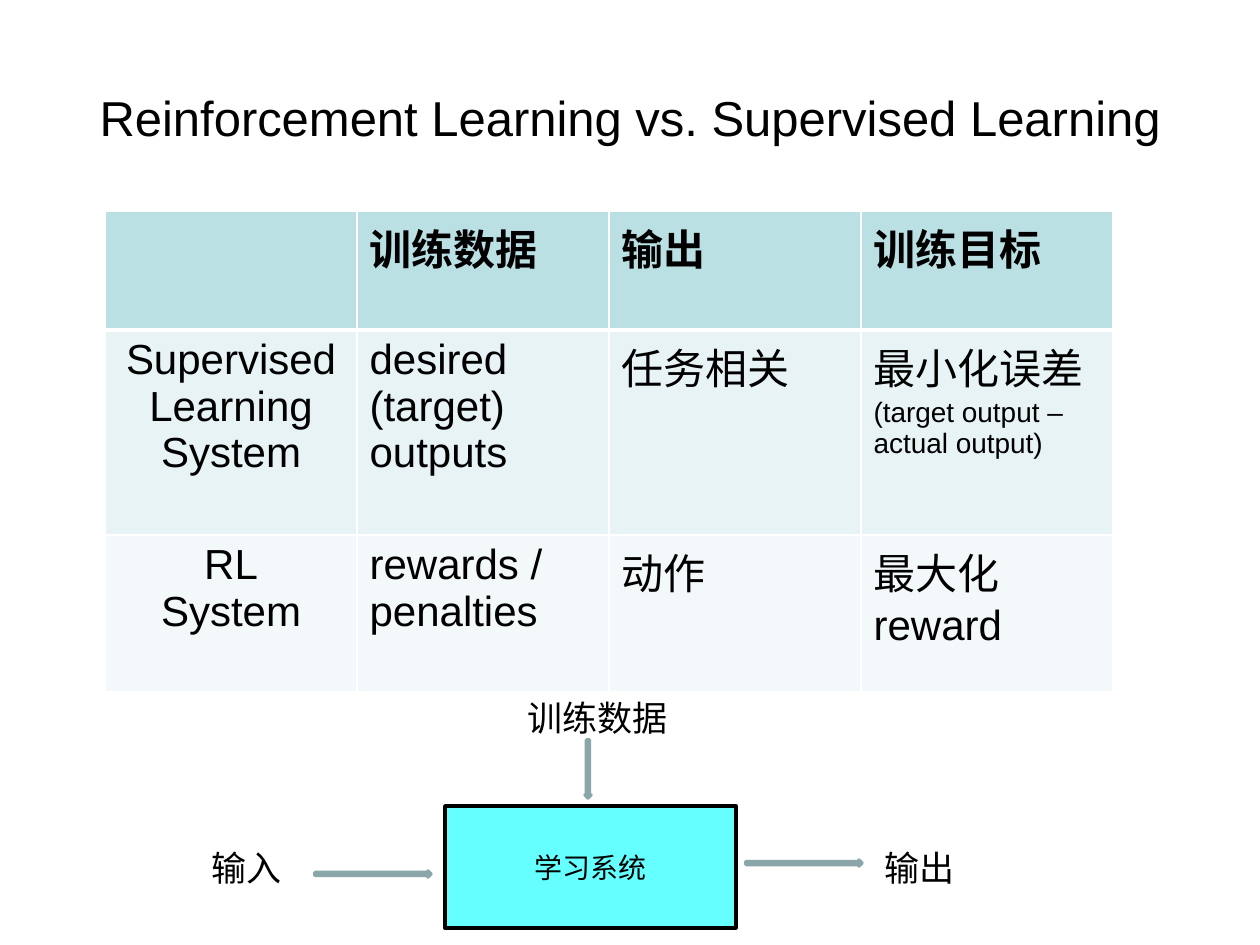
import dataclasses

import pptx
import pptx.dml.color
import pptx.enum.shapes
import pptx.enum.text
import pptx.oxml
import pptx.oxml.ns
import pptx.util

SHAPE = pptx.enum.shapes.MSO_SHAPE
ALIGN = pptx.enum.text.PP_ALIGN
ANCHOR = pptx.enum.text.MSO_ANCHOR
FIT = pptx.enum.text.MSO_AUTO_SIZE


@dataclasses.dataclass(frozen=True)
class Theme:
    font: str = "Arial"
    ink: str = "000000"
    rule: str = "FFFFFF"
    rows: tuple = ("BBE0E3", "E7F3F4", "F3F9FA")
    box: str = "66FFFF"
    arrow: str = "BBE0E3"
    edge: str = "8AA6A8"
    title: int = 28
    cell: int = 24
    label: int = 20
    note: int = 16


THEME = Theme()


def px(count):
    return pptx.util.Emu(round(count * 914400 / 126))


def rgb(code):
    return pptx.dml.color.RGBColor.from_string(code)


def write(frame, text, size, bold=False, align=ALIGN.LEFT, anchor=ANCHOR.TOP,
          wrap=True, note=""):
    """Fill a frame, one paragraph per line; note follows in small type."""
    frame.word_wrap = wrap
    frame.vertical_anchor = anchor
    for i, line in enumerate(text.split("\n")):
        para = frame.add_paragraph() if i else frame.paragraphs[0]
        para.alignment = align
        runs = [(line, size)]
        if note:
            runs.append((note, THEME.note))
        for part, points in runs:
            run = para.add_run()
            run.text = part
            run.font.name = THEME.font
            run.font.size = pptx.util.Pt(points)
            run.font.bold = bold
            run.font.color.rgb = rgb(THEME.ink)


def add_text(slide, box, text, size, **style):
    shape = slide.shapes.add_textbox(*map(px, box))
    write(shape.text_frame, text, size, **style)
    return shape


def add_block(slide, kind, box, fill, line):
    shape = slide.shapes.add_shape(kind, *map(px, box))
    shape.shadow.inherit = False
    shape.fill.solid()
    shape.fill.fore_color.rgb = rgb(fill)
    shape.line.color.rgb = rgb(line)
    shape.line.width = pptx.util.Pt(2)
    return shape


def set_rules(cell, top, bottom):
    """Draw the four borders of a cell, with widths in points."""
    props = cell._tc.get_or_add_tcPr()
    for side, width in (("L", 1), ("R", 1), ("T", top), ("B", bottom)):
        props.append(pptx.oxml.parse_xml(
            f'<a:ln{side} {pptx.oxml.ns.nsdecls("a")} w="{pptx.util.Pt(width)}">'
            f'<a:solidFill><a:srgbClr val="{THEME.rule}"/></a:solidFill>'
            f'</a:ln{side}>'))


def add_title(slide, box):
    add_text(slide, box, "Reinforcement Learning vs. Supervised Learning",
             THEME.title, align=ALIGN.CENTER, anchor=ANCHOR.MIDDLE)


def add_grid(slide, box):
    rows = [
        ["", "训练数据", "输出", "训练目标"],
        ["Supervised Learning\nSystem", "desired (target) outputs",
         "任务相关", "最小化误差"],
        ["RL\nSystem", "rewards / penalties", "动作", "最大化reward"],
    ]
    notes = {(1, 3): "(target output – actual output)"}
    highs = (119, 205, 157)
    table = slide.shapes.add_table(len(rows), len(rows[0]), *map(px, box)).table
    for col in table.columns:
        col.width = px(box[2] / len(rows[0]))
    for r, row in enumerate(rows):
        table.rows[r].height = px(highs[r])
        for c, text in enumerate(row):
            cell = table.cell(r, c)
            set_rules(cell, top=3 if r == 1 else 1, bottom=3 if r == 0 else 1)
            cell.fill.solid()
            cell.fill.fore_color.rgb = rgb(THEME.rows[r])
            if text:
                write(cell.text_frame, text, THEME.cell, bold=r == 0,
                      align=ALIGN.LEFT if c else ALIGN.CENTER,
                      note=notes.get((r, c), ""))


def add_flow(slide, box):
    left, top = box[:2]

    def place(x, y, wide, high):
        return left + x, top + y, wide, high

    core = add_block(slide, SHAPE.RECTANGLE, place(246, 116, 291, 122),
                     THEME.box, THEME.ink)
    write(core.text_frame, "学习系统", THEME.note, align=ALIGN.CENTER,
          anchor=ANCHOR.MIDDLE, wrap=False)
    for text, x, y, wide in (("输入", 0, 150, 96), ("输出", 673, 150, 96),
                             ("训练数据", 316, 0, 166)):
        label = add_text(slide, place(x, y, wide, 54), text, THEME.label,
                         wrap=False)
        label.text_frame.auto_size = FIT.SHAPE_TO_FIT_TEXT
    for kind, spot in ((SHAPE.RIGHT_ARROW, (116, 181, 116, 6)),
                       (SHAPE.RIGHT_ARROW, (547, 170, 116, 6)),
                       (SHAPE.DOWN_ARROW, (386, 50, 6, 58))):
        add_block(slide, kind, place(*spot), THEME.arrow, THEME.edge)


def main():
    deck = pptx.Presentation()
    deck.slide_width, deck.slide_height = px(1260), px(945)
    slide = deck.slides.add_slide(deck.slide_layouts[6])
    add_title(slide, (63, 38, 1134, 158))
    add_grid(slide, (105, 211, 1008, 481))
    add_flow(slide, (199, 690, 769, 238))
    deck.save("out.pptx")


if __name__ == "__main__":
    main()
